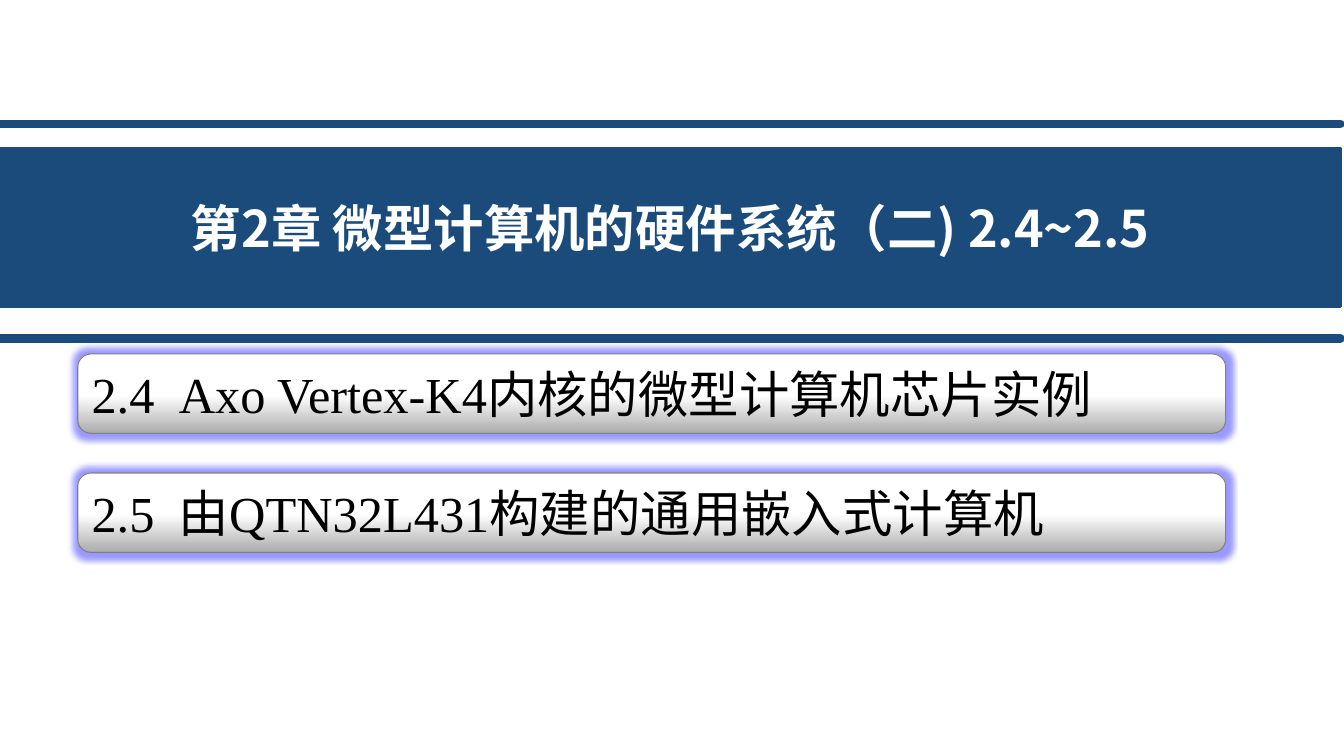
from dataclasses import dataclass

from pptx import Presentation
from pptx import util as u
from pptx.dml.color import RGBColor
from pptx.enum import shapes, text
from pptx.oxml import ns
from lxml import etree

COLOURS = {
    "navy": "1B4B7B",
    "white": "FFFFFF",
    "black": "000000",
    "silver": "ABABAB",
    "edge": "808080",
    "glow": "9999FF",
}
CJK_FONT = "Noto Sans CJK SC"
LATIN_FONT = "Times New Roman"
BAND_WIDTH = u.Cm(33.78)
SECTION_PITCH = 3.0


@dataclass(frozen=True)
class Section:
    number: str
    heading: str


SECTIONS = [
    Section("2.4", "Axo Vertex-K4内核的微型计算机芯片实例"),
    Section("2.5", "由QTN32L431构建的通用嵌入式计算机"),
]
RULE_TOPS = [3.12, 8.53]


def colour(key: str) -> RGBColor:
    return RGBColor.from_string(COLOURS[key])


def set_font(paragraph, latin: str, key: str, bold: bool) -> None:
    font = paragraph.font
    font.name, font.size, font.bold = latin, u.Pt(36), bold
    font.color.rgb = colour(key)
    latin_tag = paragraph._p.pPr.find(".//" + ns.qn("a:latin"))
    east_asian = etree.Element(ns.qn("a:ea"), typeface=CJK_FONT)
    latin_tag.addnext(east_asian)


def draw_chapter(chapter, wording: str) -> None:
    chapter.left, chapter.top = u.Cm(0), u.Cm(3.73)
    chapter.width, chapter.height = BAND_WIDTH, u.Cm(3.99)
    chapter.fill.solid()
    chapter.fill.fore_color.rgb = colour("navy")
    chapter.line.color.rgb = colour("navy")
    chapter.line.width = u.Pt(2)
    frame = chapter.text_frame
    frame.vertical_anchor = text.MSO_ANCHOR.MIDDLE
    frame.text = wording
    frame.paragraphs[0].alignment = text.PP_ALIGN.CENTER
    set_font(frame.paragraphs[0], CJK_FONT, "white", True)


def draw_rule(slide, top: float) -> None:
    rule = slide.shapes.add_connector(
        shapes.MSO_CONNECTOR.STRAIGHT, u.Cm(0), u.Cm(top), BAND_WIDTH, u.Cm(top))
    rule.line.color.rgb = colour("navy")
    rule.line.width = u.Pt(6)
    rule.line._get_or_add_ln().set("cap", "rnd")
    etree.SubElement(rule._element.spPr, ns.qn("a:effectLst"))


def add_glow(panel) -> None:
    panel.shadow.inherit = False
    effects = panel._element.spPr.find(ns.qn("a:effectLst"))
    glow = etree.SubElement(effects, ns.qn("a:glow"), rad=str(u.Pt(8)))
    etree.SubElement(glow, ns.qn("a:srgbClr"), val=COLOURS["glow"])


def draw_section(slide, section: Section, top: float) -> None:
    panel = slide.shapes.add_shape(
        shapes.MSO_SHAPE.ROUNDED_RECTANGLE,
        u.Cm(1.96), u.Cm(top), u.Cm(28.93), u.Cm(2))
    panel.fill.gradient()
    panel.fill.gradient_angle = 90
    for stop, position, key in zip(
            panel.fill.gradient_stops, (0, 0.48), ("silver", "white")):
        stop.position = position
        stop.color.rgb = colour(key)
    panel.line.color.rgb = colour("edge")
    panel.line.width = u.Pt(0.75)
    add_glow(panel)

    frame = panel.text_frame
    frame.word_wrap = True
    frame.vertical_anchor = text.MSO_ANCHOR.MIDDLE
    heading = frame.paragraphs[0]
    heading.text = f"{section.number}\t{section.heading}"
    heading.alignment = text.PP_ALIGN.LEFT
    set_font(heading, LATIN_FONT, "black", False)
    # Hanging indent: the tab after the number lands on the heading's edge
    hang = u.Cm(2.2)
    heading._p.pPr.set("marL", str(hang))
    heading._p.pPr.set("indent", str(-hang))


def main() -> None:
    deck = Presentation()
    deck.slide_width, deck.slide_height = u.Cm(33.87), u.Cm(19.05)
    slide = deck.slides.add_slide(deck.slide_layouts[5])

    # Chapter band between two rules
    draw_chapter(slide.shapes.title, "第2章 微型计算机的硬件系统（二) 2.4~2.5")
    for top in RULE_TOPS:
        draw_rule(slide, top)

    # Section panels
    for index, section in enumerate(SECTIONS):
        draw_section(slide, section, 8.92 + index * SECTION_PITCH)

    deck.save("out.pptx")


if __name__ == "__main__":
    main()
